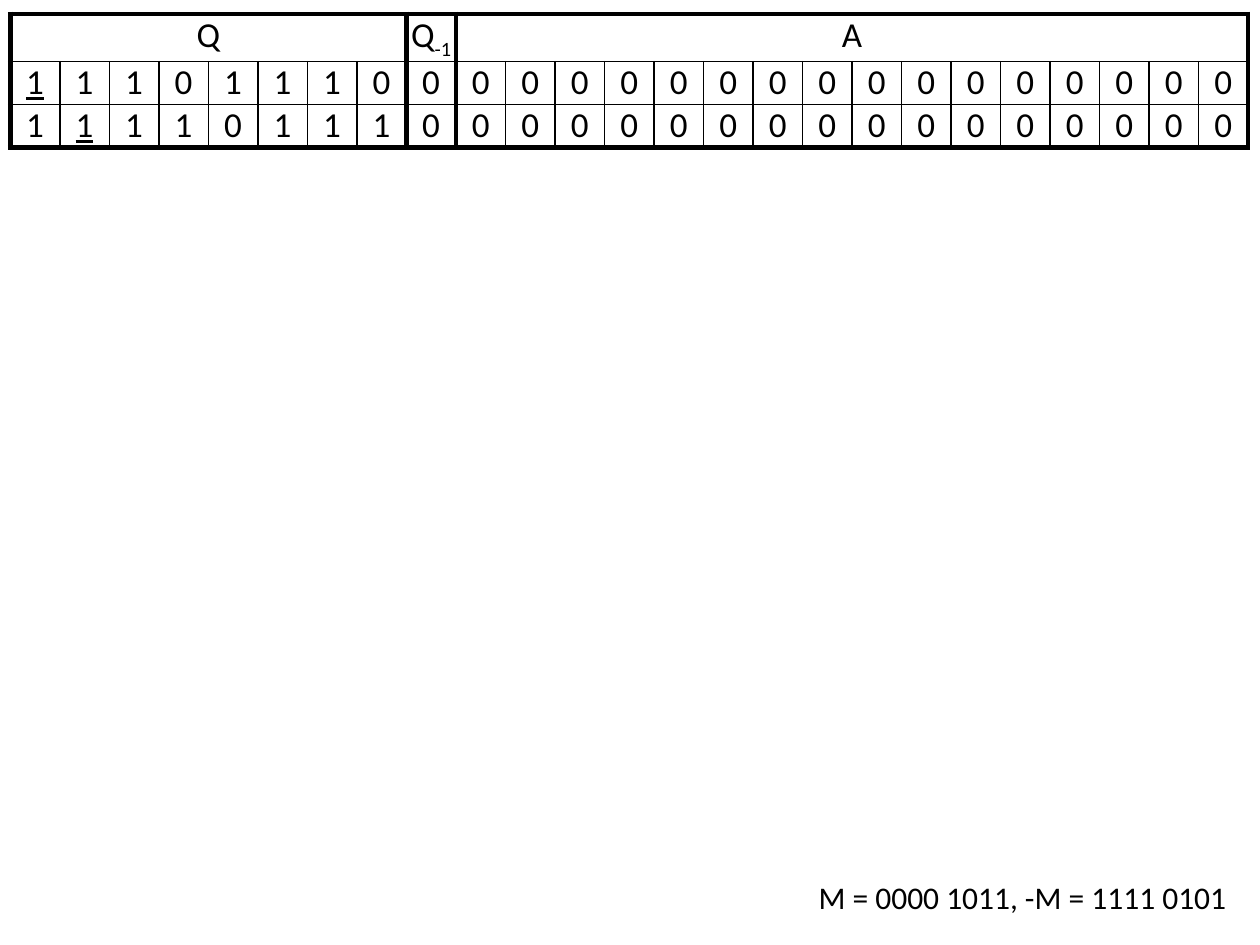
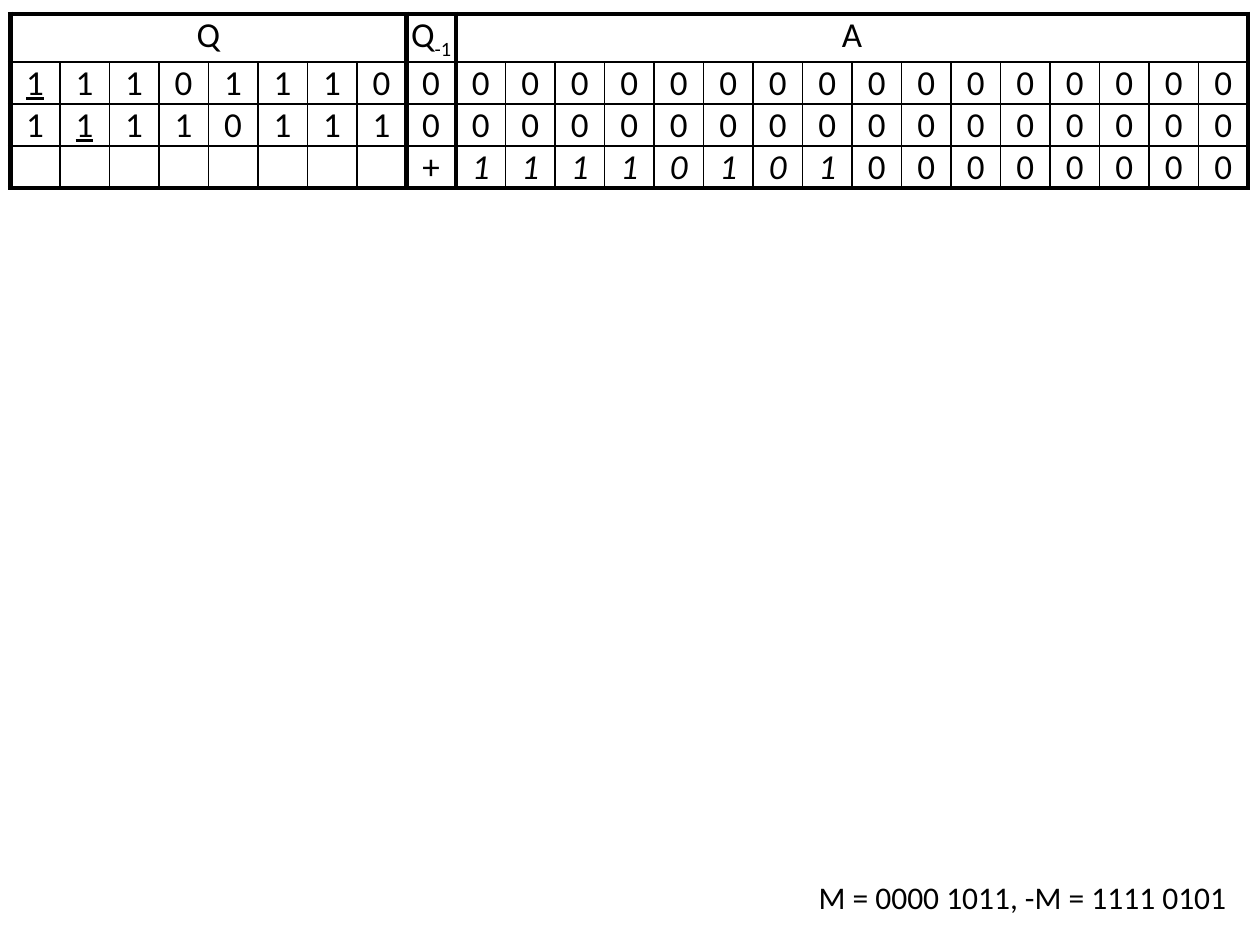
"""Build two slides that step through a Booth multiplication table."""
from pptx import Presentation
from pptx.dml.color import RGBColor
from pptx.enum.text import MSO_AUTO_SIZE, PP_ALIGN
from pptx.oxml.ns import qn
from pptx.util import Pt
from lxml.etree import SubElement

COLORS = {"ink": "000000", "paper": "FFFFFF"}
FONT = "Calibri"
THIN, THICK = 1, 3
COLS, COL_W, ROW_H = 25, 28.3, 23
HEADER = [(0, 7, ["Q"]), (8, 8, ["Q", "-1"]), (9, 24, ["A"])]
GROUP_STARTS = {first for first, last, texts in HEADER}
GROUP_ENDS = {last for first, last, texts in HEADER}
STEPS = [
    {"bits": "11101110" + "0" * 17, "underlined": {0}, "italic": set()},
    {"bits": "11110111" + "0" * 17, "underlined": {1}, "italic": set()},
    {"bits": " " * 8 + "+11110101" + "0" * 8, "underlined": set(), "italic": set(range(9, 17))},
]


def add_run(p, text, size):
    r = p.add_run()
    r.text = text
    r.font.size = Pt(size)
    r.font.name = FONT
    r.font.color.rgb = RGBColor.from_string(COLORS["ink"])
    return r


def style_cell(cell, widths):
    cell.margin_left = cell.margin_right = cell.margin_top = cell.margin_bottom = 0
    tcPr = cell._tc.get_or_add_tcPr()
    for side, width in zip("LRTB", widths):
        ln = SubElement(tcPr, qn(f"a:ln{side}"), w=str(Pt(width)))
        fill = SubElement(ln, qn("a:solidFill"))
        SubElement(fill, qn("a:srgbClr"), val=COLORS["ink"])
    cell.fill.background()
    p = cell.text_frame.paragraphs[0]
    p.alignment = PP_ALIGN.CENTER
    return p


prs = Presentation()
prs.slide_width, prs.slide_height = Pt(720), Pt(540)

for step_count in (2, 3):
    s = prs.slides.add_slide(prs.slide_layouts[6])
    s.background.fill.solid()
    s.background.fill.fore_color.rgb = RGBColor.from_string(COLORS["paper"])

    rows = step_count + 1
    frame = s.shapes.add_table(rows, COLS, Pt(5.9), Pt(8), Pt(COLS * COL_W), Pt(rows * 24))
    table = frame.table
    table.first_row = table.horz_banding = False
    for column in table.columns:
        column.width = Pt(COL_W)
    for row in table.rows:
        row.height = Pt(ROW_H)
    frame.height = Pt(rows * 24)

    for first, last, texts in HEADER:
        for col in range(first, last + 1):
            p = style_cell(table.cell(0, col), (THICK, THICK, THICK, THIN))
            if col == first:
                runs = [add_run(p, text, 20) for text in texts]
                for r in runs[1:]:
                    r._r.get_or_add_rPr().set("baseline", "-25000")
        if last > first:
            table.cell(0, first).merge(table.cell(0, last))

    for row, step in enumerate(STEPS[:step_count], 1):
        bottom = THICK if row == step_count else THIN
        for col, bit in enumerate(step["bits"]):
            left = THICK if col in GROUP_STARTS else THIN
            right = THICK if col in GROUP_ENDS else THIN
            p = style_cell(table.cell(row, col), (left, right, THIN, bottom))
            if bit != " ":
                r = add_run(p, bit, 20)
                r.font.underline = col in step["underlined"]
                r.font.italic = col in step["italic"]

    sp = s.shapes.add_textbox(Pt(432), Pt(498), Pt(276), Pt(29))
    tf = sp.text_frame
    tf.word_wrap = True
    tf.auto_size = MSO_AUTO_SIZE.SHAPE_TO_FIT_TEXT
    p = tf.paragraphs[0]
    p.alignment = PP_ALIGN.RIGHT
    add_run(p, "M = 0000 1011, -M = 1111 0101", 18)

prs.save("out.pptx")
